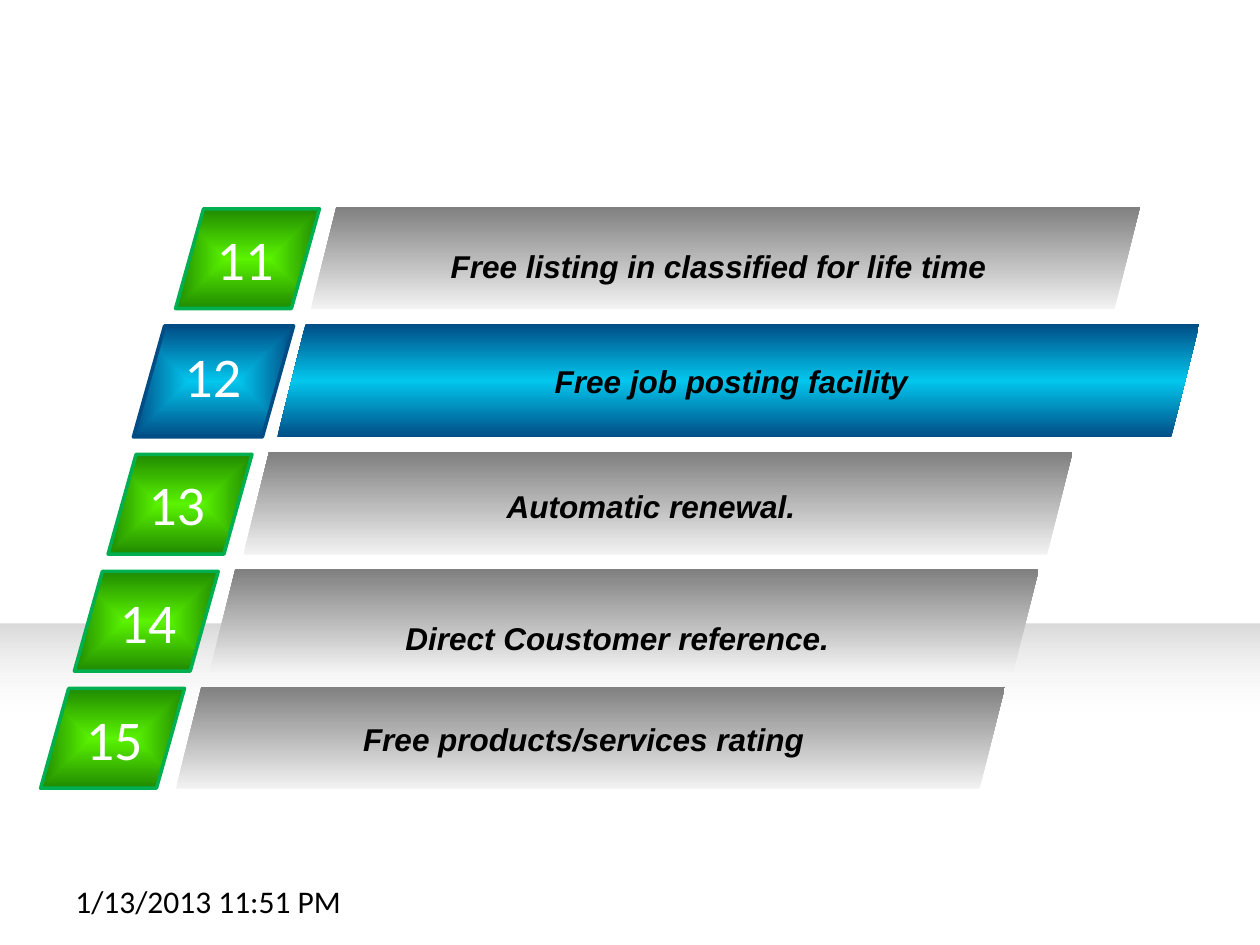
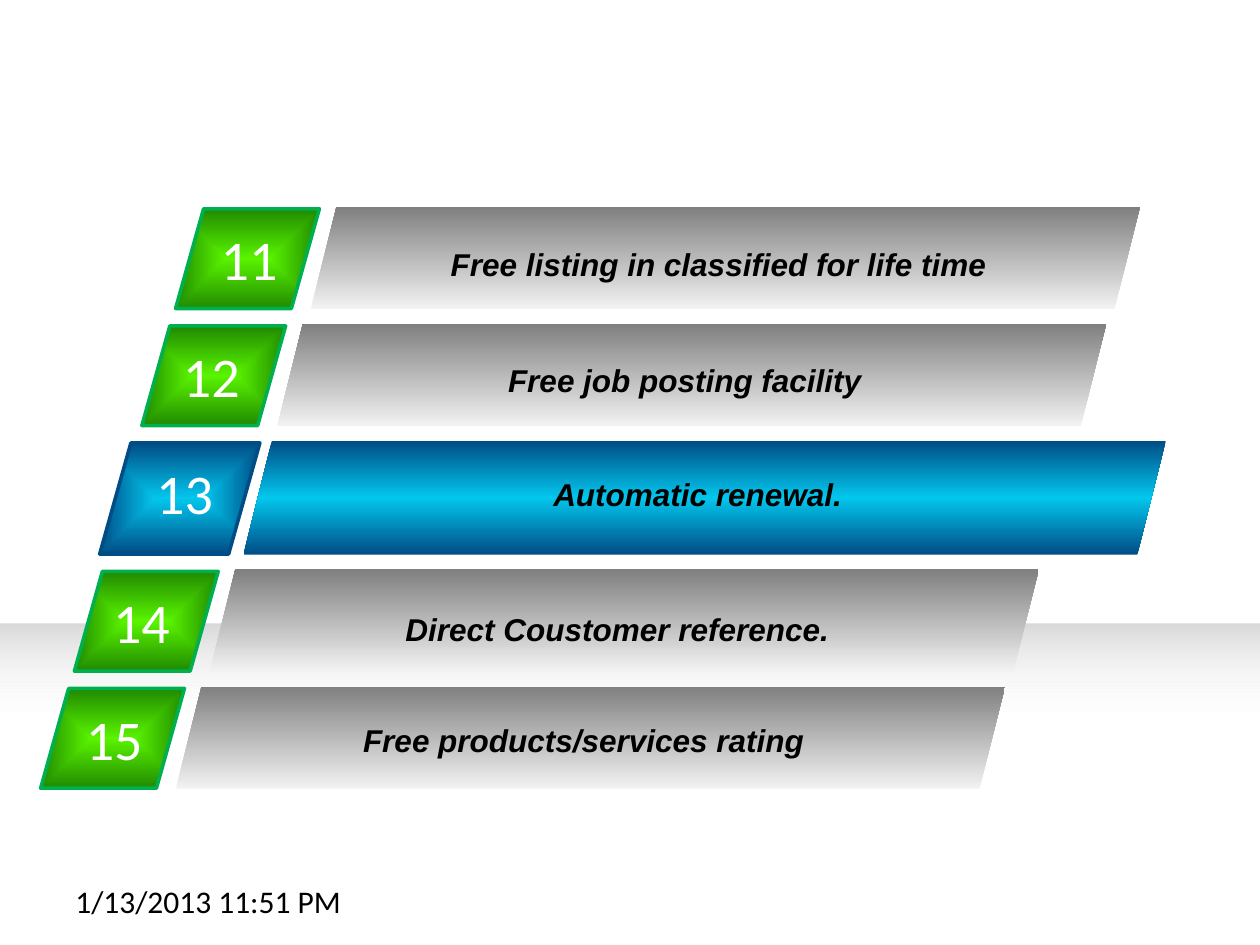
import dataclasses

import lxml.etree
import pptx
import pptx.dml.color
import pptx.enum.shapes
import pptx.enum.text
import pptx.oxml.ns
import pptx.util

Cm, Pt = pptx.util.Cm, pptx.util.Pt
RGB = pptx.dml.color.RGBColor.from_string
Preset = pptx.enum.shapes.MSO_SHAPE
Align = pptx.enum.text.PP_ALIGN
Anchor = pptx.enum.text.MSO_ANCHOR
qn = pptx.oxml.ns.qn


@dataclasses.dataclass(frozen=True)
class Box:
    """A region in centimetres."""
    left: float
    top: float
    width: float
    height: float

    def inside(self, dx, dy, width, height):
        return Box(self.left + dx, self.top + dy, width, height)

    def lengths(self):
        return [Cm(v) for v in (self.left, self.top, self.width, self.height)]


@dataclasses.dataclass(frozen=True)
class TextStyle:
    font: str
    size: int
    color: str
    bold: bool = False
    italic: bool = False


@dataclasses.dataclass(frozen=True)
class RowStyle:
    """Look and measures of one row of the list."""
    bar_width: float
    bar_height: float
    bar_stops: tuple
    tag_shift: float
    tag_width: float
    tag_height: float
    tag_stops: tuple
    tag_line: str
    label_inset: float
    label_width: float


@dataclasses.dataclass(frozen=True)
class Theme:
    # Gradient stops: position in percent, colour, opacity in percent
    band_stops = ((61, "FFFFFF", 0), (100, "D9D9D9", 100))
    number = TextStyle("Calibri", 32, "FFFFFF")
    label = TextStyle("Arial", 18, "000000", bold=True, italic=True)
    date = TextStyle("Calibri", 18, "000000")
    plain_row = RowStyle(
        16.71, 2.06, ((0, "F2F2F2", 100), (100, "808080", 100)),
        2.73, 2.9, 2.01, ((0, "5AF300", 100), (100, "208A00", 100)), "00B050",
        0.71, 15.01)
    active_row = RowStyle(
        18.59, 2.29,
        ((0, "004D86", 100), (50, "03C6ED", 100), (100, "004D86", 100)),
        2.9, 3.23, 2.24, ((0, "03C6ED", 100), (100, "004D86", 100)), "004D86",
        0.81, 16.69)
    tag_line_width = 2
    tag_slant = 0.281


THEME = Theme()
SLIDE = Box(0, 0, 25.4, 19.05)
BAND = Box(0, 12.57, 25.4, 5.13)
LIST = Box(3.55, 4.17, 20.63, 11.73)
DATE = Box(1.27, 17.65, 5.92, 1.02)
ROW_GAP = 0.3
ROW_STEP = 0.68  # each row starts this much further left
FIRST_NUMBER = 11
BENEFITS = (
    "Free listing in classified for life time",
    "Free job posting facility",
    "Automatic renewal.",
    "Direct Coustomer reference.",
    "Free products/services rating",
)
# Active number, then the number indents and label drops of the five rows
PAGES = (
    (12, (0.58, 0.78, 0.56, 0.66, 0.66), (0.69, 0.64, 0.58, 0.87, 0.56)),
    (13, (0.66, 0.58, 0.89, 0.53, 0.66), (0.64, 0.62, 0.56, 0.69, 0.58)),
)


def fill_gradient(shape, stops, from_centre=False):
    """Fill upwards from the bottom edge, or outwards from the centre."""
    shape.fill.background()
    properties = shape._element.spPr
    gradient = lxml.etree.Element(qn("a:gradFill"), rotWithShape="1")
    stop_list = lxml.etree.SubElement(gradient, qn("a:gsLst"))
    for position, color, opacity in stops:
        stop = lxml.etree.SubElement(stop_list, qn("a:gs"), pos=str(position * 1000))
        rgb = lxml.etree.SubElement(stop, qn("a:srgbClr"), val=color)
        if opacity < 100:
            lxml.etree.SubElement(rgb, qn("a:alpha"), val=str(opacity * 1000))
    if from_centre:
        course = lxml.etree.SubElement(gradient, qn("a:path"), path="shape")
        lxml.etree.SubElement(course, qn("a:fillToRect"),
                              dict.fromkeys("ltrb", "50000"))
    else:
        lxml.etree.SubElement(gradient, qn("a:lin"), ang="16200000", scaled="0")
    properties.replace(properties.find(qn("a:noFill")), gradient)


def add_panel(slide, preset, box, stops, from_centre=False):
    panel = slide.shapes.add_shape(preset, *box.lengths())
    panel.shadow.inherit = False
    panel.line.fill.background()
    fill_gradient(panel, stops, from_centre)
    return panel


def add_text(slide, box, text, style, align=Align.LEFT, anchor=Anchor.TOP):
    frame = slide.shapes.add_textbox(*box.lengths()).text_frame
    frame.word_wrap = True
    frame.vertical_anchor = anchor
    frame.text = text
    paragraph = frame.paragraphs[0]
    paragraph.alignment = align
    font = paragraph.runs[0].font
    font.name, font.size = style.font, Pt(style.size)
    font.bold, font.italic = style.bold, style.italic
    font.color.rgb = RGB(style.color)


def add_row(slide, bar, style, number, label, number_indent, label_drop):
    # Number tag to the left of the bar
    tag_box = bar.inside(-style.tag_shift, 0.04, style.tag_width, style.tag_height)
    tag = add_panel(slide, Preset.PARALLELOGRAM, tag_box, style.tag_stops, True)
    tag.adjustments[0] = THEME.tag_slant
    tag.line.color.rgb = RGB(style.tag_line)
    tag.line.width = Pt(THEME.tag_line_width)
    lxml.etree.SubElement(tag.line._ln, qn("a:round"))
    add_text(slide, tag_box.inside(number_indent, 0.19, 2, 1.62), str(number),
             THEME.number)
    # Bar and its label
    add_panel(slide, Preset.PARALLELOGRAM, bar, style.bar_stops)
    add_text(slide, bar.inside(style.label_inset, label_drop, style.label_width, 1.02),
             label, THEME.label, Align.CENTER)


def add_benefit_list(slide, box, active, number_indents, label_drops):
    top = box.top
    rows = zip(BENEFITS, number_indents, label_drops)
    for index, (label, indent, drop) in enumerate(rows):
        number = FIRST_NUMBER + index
        style = THEME.active_row if number == active else THEME.plain_row
        left = box.left + (len(BENEFITS) - 1 - index) * ROW_STEP
        bar = Box(left, top, style.bar_width, style.bar_height)
        add_row(slide, bar, style, number, label, indent, drop)
        top += style.bar_height + ROW_GAP


def add_benefit_slide(deck, active, number_indents, label_drops):
    slide = deck.slides.add_slide(deck.slide_layouts.get_by_name("Blank"))
    add_panel(slide, Preset.RECTANGLE, BAND, THEME.band_stops)
    add_benefit_list(slide, LIST, active, number_indents, label_drops)
    add_text(slide, DATE, "1/13/2013 11:51 PM", THEME.date, anchor=Anchor.MIDDLE)


def main():
    deck = pptx.Presentation()
    deck.slide_width, deck.slide_height = Cm(SLIDE.width), Cm(SLIDE.height)
    for page in PAGES:
        add_benefit_slide(deck, *page)
    deck.save("out.pptx")


if __name__ == "__main__":
    main()
